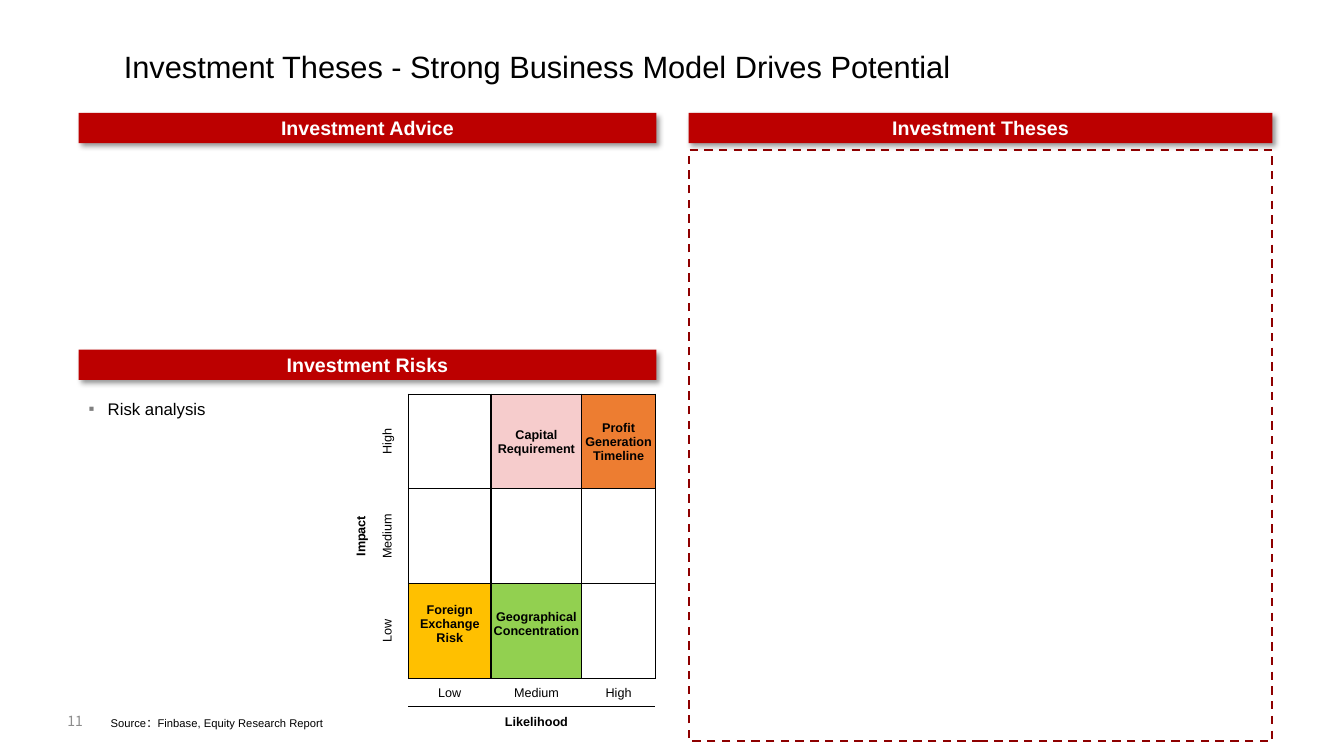
from lxml.etree import SubElement
from pptx import Presentation
from pptx.dml.color import RGBColor
from pptx.enum.dml import MSO_LINE
from pptx.enum.shapes import MSO_SHAPE
from pptx.enum.text import MSO_ANCHOR, PP_ALIGN
from pptx.oxml.ns import qn
from pptx.util import Inches, Pt

COLORS = {
    "black": "000000", "white": "FFFFFF", "grey": "8C8C8C", "bullet": "808080",
    "red": "BC0000", "dark red": "8E0000", "pink": "F6CCCC",
    "orange": "ED7D31", "amber": "FFC000", "green": "92D050",
}
NO_STYLE_TABLE = "{2D5ABB26-0587-4C30-8999-92F81FD0307C}"


def color(name):
    return RGBColor.from_string(COLORS[name])


def add_color(parent, name):
    """Append a solid fill and return its colour element."""
    fill = SubElement(parent, qn("a:solidFill"))
    return SubElement(fill, qn("a:srgbClr"), val=COLORS[name])


def write(text_frame, text, size, font="Arial", ink="black", bold=False,
          align=None, anchor=MSO_ANCHOR.TOP, spacing=None, before=None, after=None):
    """Fill a text frame with one formatted paragraph and return the paragraph."""
    text_frame.word_wrap = True
    text_frame.vertical_anchor = anchor
    paragraph = text_frame.paragraphs[0]
    paragraph.alignment = align
    paragraph.line_spacing = spacing
    paragraph.space_before = before
    paragraph.space_after = after
    if not text:
        SubElement(paragraph._p, qn("a:endParaRPr"), sz=str(size * 100))
        return paragraph
    run = paragraph.add_run()
    run.text = text
    run.font.size = Pt(size)
    run.font.name = font
    run.font.bold = bold
    run.font.color.rgb = color(ink)
    SubElement(run._r.get_or_add_rPr(), qn("a:ea"), typeface="Noto Sans CJK SC")
    return paragraph


class SlideBuilder:
    """Places elements by percentages of the slide's width and height."""

    def __init__(self, presentation):
        self.width = presentation.slide_width
        self.height = presentation.slide_height
        self.slide = presentation.slides.add_slide(presentation.slide_layouts[6])
        self.shapes = self.slide.shapes

    def box(self, left, top, width, height):
        return (int(self.width * left / 100), int(self.height * top / 100),
                int(self.width * width / 100), int(self.height * height / 100))

    def text(self, box, text, size, **style):
        textbox = self.shapes.add_textbox(*self.box(*box))
        return write(textbox.text_frame, text, size, **style)

    def bullet(self, box, text, size):
        paragraph = self.text(box, text, size, after=Pt(3))
        properties = paragraph._p.get_or_add_pPr()
        properties.set("marL", str(Inches(0.19)))
        properties.set("indent", str(-Inches(0.19)))
        bullet_color = SubElement(properties, qn("a:buClr"))
        SubElement(bullet_color, qn("a:srgbClr"), val=COLORS["bullet"])
        SubElement(properties, qn("a:buFont"), typeface="Arial")
        SubElement(properties, qn("a:buChar"), char="▪")

    def rectangle(self, box):
        shape = self.shapes.add_shape(MSO_SHAPE.RECTANGLE, *self.box(*box))
        shape.shadow.inherit = False
        return shape

    def banner(self, left, top, width, text):
        shape = self.rectangle((left, top, width, 4))
        shape.fill.solid()
        shape.fill.fore_color.rgb = color("red")
        shape.line.fill.background()
        effects = shape._element.spPr.find(qn("a:effectLst"))
        shadow = SubElement(effects, qn("a:outerShdw"), blurRad=str(Pt(4)),
                            dist=str(Pt(3)), dir="2700000", algn="tl", rotWithShape="0")
        shade = SubElement(shadow, qn("a:srgbClr"), val=COLORS["black"])
        SubElement(shade, qn("a:alpha"), val="40000")
        write(shape.text_frame, text, 14, ink="white", bold=True,
              align=PP_ALIGN.CENTER, anchor=MSO_ANCHOR.MIDDLE)

    def dashed_frame(self, box):
        shape = self.rectangle(box)
        shape.fill.background()
        shape.line.color.rgb = color("dark red")
        shape.line.width = Pt(1.5)
        shape.line.dash_style = MSO_LINE.DASH

    def table(self, left, top, columns, rows):
        """Add an unstyled table; columns and rows are percentages of the slide."""
        frame = self.shapes.add_table(
            len(rows), len(columns), *self.box(left, top, sum(columns), sum(rows)))
        table = frame.table
        table.first_row = table.horz_banding = False
        table._tbl.tblPr.find(qn("a:tableStyleId")).text = NO_STYLE_TABLE
        for column, share in zip(table.columns, columns):
            column.width = int(self.width * share / 100)
        for row, share in zip(table.rows, rows):
            row.height = int(self.height * share / 100)
        return table

    def cell(self, cell, text="", fill=None, borders="", vertical=False,
             bold=False, anchor=MSO_ANCHOR.MIDDLE, bottom=0):
        cell.margin_left = cell.margin_right = cell.margin_top = Inches(0.01)
        cell.margin_bottom = Inches(bottom)
        write(cell.text_frame, text, 9, bold=bold, align=PP_ALIGN.CENTER)
        cell.vertical_anchor = anchor
        properties = cell._tc.get_or_add_tcPr()
        if vertical:
            properties.set("vert", "vert270")
        for side in borders:
            line = SubElement(properties, qn(f"a:ln{side}"), w=str(Pt(1)))
            add_color(line, "black")
        if fill:
            cell.fill.solid()
            cell.fill.fore_color.rgb = color(fill)
        else:
            cell.fill.background()

    def risk_matrix(self, left, top):
        levels = ["Low", "Medium", "High"]
        # (row, column): text, fill, bottom margin
        risks = {
            (0, 2): ("", "white", 0),
            (0, 3): ("Capital Requirement", "pink", 0),
            (0, 4): ("Profit Generation Timeline", "orange", 0),
            (2, 2): ("Foreign Exchange Risk", "amber", 0.14),
            (2, 3): ("Geographical Concentration", "green", 0.14),
        }
        table = self.table(left, top, [1.95, 2.18, 6.15, 6.75, 5.48],
                           [12.53, 12.53, 12.53, 3.73, 3.07])
        for row in range(5):
            for column in range(5):
                cell = table.cell(row, column)
                if row < 3 and column > 1:
                    text, fill, bottom = risks.get((row, column), ("", None, 0))
                    self.cell(cell, text, fill, "LRTB", bold=True, bottom=bottom)
                elif row < 3 and column == 1:
                    self.cell(cell, levels[2 - row], borders="R", vertical=True)
                elif row == 3 and column > 1:
                    self.cell(cell, levels[column - 2], borders="T")
                elif (row, column) == (1, 0):
                    self.cell(cell, "Impact", vertical=True, bold=True)
                elif (row, column) == (4, 3):
                    self.cell(cell, "Likelihood", bold=True, anchor=MSO_ANCHOR.BOTTOM)
                else:
                    self.cell(cell)


def main():
    presentation = Presentation()
    presentation.slide_width = Inches(13.33)
    presentation.slide_height = Inches(7.5)
    builder = SlideBuilder(presentation)

    left, left_width = 5.85, 42.99
    right, right_width = 51.24, 43.44
    header_top, risks_top, content_top = 14.93, 46.27, 52.13

    builder.text((4.28, 92.67, 22.5, 5.33), "11", 10, font="Noto Sans CJK SC",
                 ink="grey", anchor=MSO_ANCHOR.MIDDLE)
    builder.banner(right, header_top, right_width, "Investment Theses")
    builder.banner(left, header_top, left_width, "Investment Advice")
    builder.text((7.5, 93.6, 42.76, 3.47), "Source：Finbase, Equity Research Report", 8,
                 spacing=1.3, before=Pt(6))
    builder.dashed_frame((right, 19.87, right_width, 78.13))
    builder.banner(left, risks_top, left_width, "Investment Risks")
    builder.risk_matrix(26.26, content_top)
    builder.bullet((left, content_top, 21.98, 4), "Risk analysis", 12)
    builder.text((8.48, 6.27, 84.7, 7.73),
                 "Investment Theses - Strong Business Model Drives Potential", 22, spacing=0.9)

    presentation.save("out.pptx")


if __name__ == "__main__":
    main()
